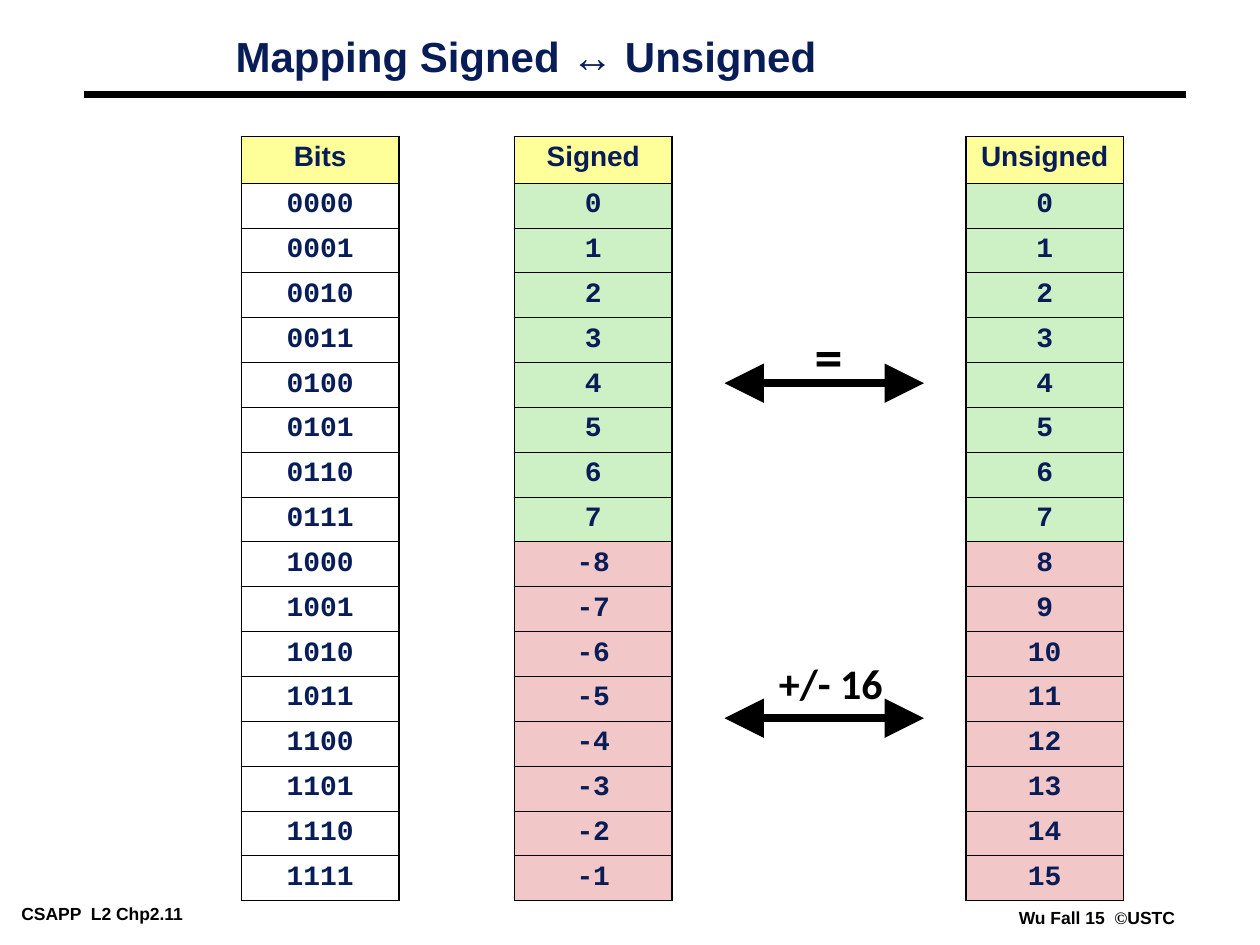
from lxml.etree import SubElement
from pptx import Presentation
from pptx.dml.color import RGBColor
from pptx.enum.shapes import MSO_CONNECTOR as Connector
from pptx.enum.text import MSO_ANCHOR as Anchor, MSO_AUTO_SIZE as AutoSize, PP_ALIGN as Align
from pptx.oxml.ns import qn
from pptx.util import Inches, Pt

NAVY = RGBColor(0x08, 0x1D, 0x58)
BLACK = RGBColor(0x00, 0x00, 0x00)
YELLOW = RGBColor(0xFF, 0xFF, 0x99)
GREEN = RGBColor(0xCD, 0xF1, 0xC5)
PINK = RGBColor(0xF1, 0xC7, 0xC7)

GRID_COLUMNS, GRID_ROWS = 120, 90
WORD_BITS = 4
CODES = range(2 ** WORD_BITS)
HALF = len(CODES) // 2

TITLE = {"name": "Arial", "size": Pt(24), "bold": True}
FOOTER = {"name": "Arial", "size": Pt(10), "bold": True}
HEADING = {"name": "Arial", "size": Pt(16), "bold": True}
CODE = {"name": "Courier New", "size": Pt(16), "bold": True}
EQUALS = {"name": "Calibri", "size": Pt(32), "bold": True}
OFFSET = {"name": "Calibri", "size": Pt(24), "bold": True}

TIGHT = (0.07, 0.03)
EVEN = (0.05, 0.05)
WIDE = (0.1, 0.05)


def apply(target, values):
    for name, value in values.items():
        setattr(target, name, value)


class Slide:
    """Places elements on a grid of 120 columns by 90 rows."""

    def __init__(self, deck):
        self.column = deck.slide_width / GRID_COLUMNS
        self.row = deck.slide_height / GRID_ROWS
        self.page = deck.slides.add_slide(deck.slide_layouts[5])

    def place(self, left, top, width, height):
        return (round(left * self.column), round(top * self.row),
                round(width * self.column), round(height * self.row))

    def span(self, para, text, style, color):
        span = para.add_run()
        span.text = text
        apply(span.font, style)
        span.font.color.rgb = color

    def frame(self, box, spans, color, margins, align=Align.LEFT,
              anchor=Anchor.TOP, auto_size=AutoSize.SHAPE_TO_FIT_TEXT):
        side, edge = (Inches(margin) for margin in margins)
        frame = box.text_frame
        apply(frame, {"margin_left": side, "margin_right": side,
                      "margin_top": edge, "margin_bottom": edge,
                      "word_wrap": False, "auto_size": auto_size,
                      "vertical_anchor": anchor})
        para = frame.paragraphs[0]
        para.alignment = align
        for text, style in spans:
            self.span(para, text, style, color)
        return para

    def title(self, text, area):
        box = self.page.shapes.title
        apply(box, dict(zip(("left", "top", "width", "height"), self.place(*area))))
        self.frame(box, [(text, TITLE)], NAVY, TIGHT).line_spacing = 0.87

    def text(self, spans, area, margins=TIGHT, shapes=None, **layout):
        shapes = shapes or self.page.shapes
        self.frame(shapes.add_textbox(*self.place(*area)), spans, BLACK, margins, **layout)

    def line(self, start, end, y, arrows=False, shapes=None):
        shapes = shapes or self.page.shapes
        height = round(y * self.row)
        line = shapes.add_connector(Connector.STRAIGHT, round(start * self.column), height,
                                    round(end * self.column), height)
        line.line.width = Pt(4.5)
        line.line.color.rgb = BLACK
        properties = line.element.spPr
        if arrows:
            for tip in ("a:headEnd", "a:tailEnd"):
                SubElement(properties.find(qn("a:ln")), qn(tip), type="triangle", w="lg", len="lg")
        SubElement(properties, qn("a:effectLst"))

    def relation(self, spans, area, y, **layout):
        """Group a double arrow with the label above it."""
        shapes = self.page.shapes.add_group_shape().shapes
        self.line(88, 69, y, arrows=True, shapes=shapes)
        self.text(spans, area, shapes=shapes, **layout)

    def borders(self, cell, top, bottom):
        widths = {"a:lnL": 1.08, "a:lnR": 1.08, "a:lnT": top, "a:lnB": bottom}
        for tag, width in widths.items():
            edge = SubElement(cell._tc.get_or_add_tcPr(), qn(tag), w=str(Pt(width)))
            SubElement(SubElement(edge, qn("a:solidFill")), qn("a:srgbClr"), val=str(BLACK))

    def table(self, heading, values, left, fills):
        entries = [(heading, HEADING, YELLOW)]
        entries += [(str(value), CODE, fills[code // HALF]) for code, value in enumerate(values)]
        area = self.place(left, 13, 15, 72.84)
        table = self.page.shapes.add_table(len(entries), 1, *area).table
        apply(table, {"first_row": False, "horz_banding": False})
        heading_height = Inches(0.37)
        last = len(entries) - 1
        for index, (text, style, fill) in enumerate(entries):
            table.rows[index].height = (
                round((area[3] - heading_height) / last) if index else heading_height)
            cell = table.cell(index, 0)
            apply(cell, {f"margin_{side}": Inches(0.05)
                         for side in ("left", "right", "top", "bottom")})
            self.borders(cell, 0.45 if index else 1.08, 1.08 if index == last else 0.45)
            if fill is None:
                cell.fill.background()
            else:
                cell.fill.solid()
                cell.fill.fore_color.rgb = fill
            para = cell.text_frame.paragraphs[0]
            apply(para, {"alignment": Align.CENTER, "line_spacing": 0.95})
            self.span(para, text, style, NAVY)


def main():
    deck = Presentation()
    apply(deck, {"slide_width": Inches(10), "slide_height": Inches(7.5)})
    slide = Slide(deck)

    slide.text([("CSAPP  L2 Chp2.11", FOOTER)], (1.2, 85.6, 23.4, 2.6))
    slide.text([("Wu Fall 15  ", FOOTER), ("©", {**FOOTER, "name": "Times New Roman"}),
                ("USTC", FOOTER)], (96.2, 86, 16.6, 2.6))
    slide.line(8, 113, 9)
    slide.title("Mapping Signed ↔ Unsigned", (21.6, 3.24, 57.1, 4.8))

    signed = [code if code < HALF else code - len(CODES) for code in CODES]
    bits = [f"{code:0{WORD_BITS}b}" for code in CODES]
    slide.table("Signed", signed, 49, (GREEN, PINK))
    slide.table("Unsigned", CODES, 92, (GREEN, PINK))
    slide.table("Bits", bits, 23, (None, None))

    slide.relation([("=", EQUALS)], (77, 30, 3.8, 7.7), 36.5, margins=EVEN, align=Align.CENTER)
    slide.relation([("+/- 16", OFFSET)], (73, 62, 6.8, 6.1), 68.4, margins=WIDE,
                   anchor=Anchor.MIDDLE, auto_size=AutoSize.NONE)
    deck.save("out.pptx")


if __name__ == "__main__":
    main()
